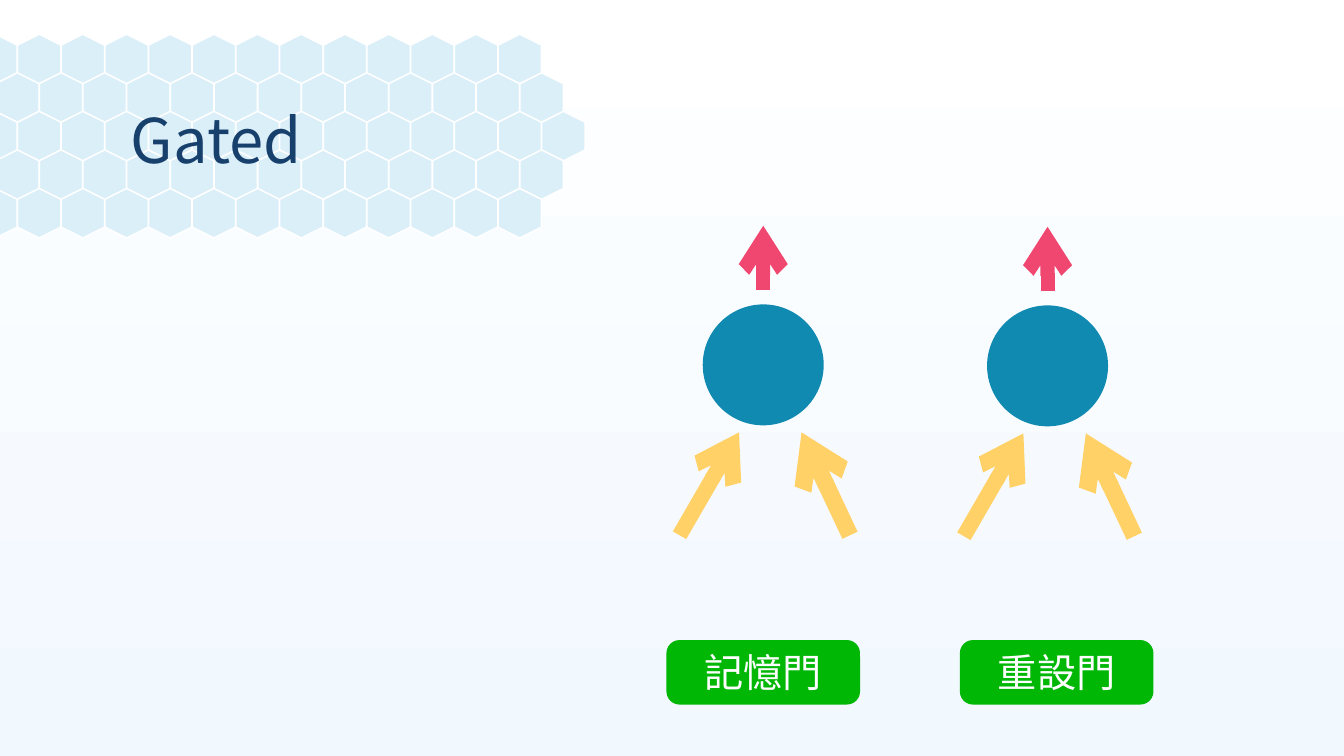
from dataclasses import dataclass

from lxml.etree import SubElement
from pptx import Presentation
from pptx.dml.color import RGBColor
from pptx.enum.shapes import MSO_CONNECTOR, MSO_SHAPE
from pptx.enum.text import MSO_ANCHOR, PP_ALIGN
from pptx.oxml.ns import qn
from pptx.util import Inches, Pt


@dataclass(frozen=True)
class Theme:
    """Colours, fonts and type sizes of the deck."""
    sky_top: str = "FFFFFF"
    sky_bottom: str = "F1F8FE"
    comb: str = "DBEFF9"
    comb_line: str = "FFFFFF"
    title: str = "17406D"
    neuron: str = "118AB2"
    input: str = "FFD166"
    output: str = "EF476F"
    gate: str = "00B706"
    gate_text: str = "FFFFFF"
    title_font: str = "Noto Sans CJK SC"
    gate_font: str = "Noto Sans CJK JP"
    title_size: int = 44
    gate_size: int = 28


THEME = Theme()


def rgb(value):
    """Turn a hex string into a colour."""
    return RGBColor.from_string(value)


def add_filled(shapes, kind, box, fill):
    """Add a flat preset shape without outline or shadow."""
    left, top, width, height = map(Inches, box)
    shape = shapes.add_shape(kind, left, top, width, height)
    shape.shadow.inherit = False
    shape.fill.solid()
    shape.fill.fore_color.rgb = rgb(fill)
    shape.line.fill.background()
    return shape


def add_arrow(shapes, tip, tail, colour, width):
    """Add a thick line with an arrowhead at its tip."""
    arrow = shapes.add_connector(MSO_CONNECTOR.STRAIGHT, *map(Inches, (*tip, *tail)))
    arrow.line.color.rgb = rgb(colour)
    arrow.line.width = Pt(width)
    SubElement(arrow.line._get_or_add_ln(), qn("a:headEnd"), type="arrow")
    SubElement(arrow._element.spPr, qn("a:effectLst"))


def write(frame, text, font, size, colour):
    """Put one formatted line into a text frame, centred vertically."""
    frame.text = text
    frame.word_wrap = True
    frame.vertical_anchor = MSO_ANCHOR.MIDDLE
    para = frame.paragraphs[0]
    span = para.runs[0]
    span.font.name = font
    span.font.size = Pt(size)
    span.font.color.rgb = rgb(colour)
    SubElement(span.font._element, qn("a:ea"), typeface=font)
    return para


def add_background(slide):
    """Shade the slide from top to bottom."""
    fill = slide.background.fill
    fill.gradient()
    fill.gradient_angle = 270
    for stop, colour in zip(fill.gradient_stops, (THEME.sky_top, THEME.sky_bottom)):
        stop.color.rgb = rgb(colour)


def add_honeycomb(slide, left, top):
    """Lay staggered rows of upright hexagons."""
    comb = slide.shapes.add_group_shape()
    pitch = 0.4333
    for row, count in enumerate((13, 13, 14, 13, 13)):
        for column in range(count):
            x = left + pitch * (column + row % 2 / 2)
            cell = add_filled(comb.shapes, MSO_SHAPE.HEXAGON,
                              (x, top + 0.3825 * row, 0.49, 0.43), THEME.comb)
            cell.rotation = 90
            cell.line.color.rgb = rgb(THEME.comb_line)
            cell.line.width = Pt(1)


def add_title(slide, box, text):
    """Write the slide title."""
    title = slide.shapes.add_textbox(*map(Inches, box))
    para = write(title.text_frame, text, THEME.title_font, THEME.title_size, THEME.title)
    para.line_spacing = 0.9


def add_neuron(shapes, left, top):
    """Draw a neuron with two inputs below and one output above."""
    centre = left + 0.83
    add_arrow(shapes, (left + 0.59, top + 2.05), (left, top + 3.07), THEME.input, 11)
    add_arrow(shapes, (left + 1.21, top + 2.05), (left + 1.69, top + 3.07), THEME.input, 12)
    add_filled(shapes, MSO_SHAPE.OVAL, (centre - 0.6, top + 0.78, 1.2, 1.2), THEME.neuron)
    add_arrow(shapes, (centre, top), (centre, top + 0.64), THEME.output, 10)


def add_gate(shapes, box, text):
    """Draw a rounded gate label."""
    gate = add_filled(shapes, MSO_SHAPE.ROUNDED_RECTANGLE, box, THEME.gate)
    gate.adjustments[0] = 0.202
    frame = gate.text_frame
    frame.margin_left = frame.margin_right = Inches(0.06)
    frame.margin_top = frame.margin_bottom = Inches(0.06)
    para = write(frame, text, THEME.gate_font, THEME.gate_size, THEME.gate_text)
    para.alignment = PP_ALIGN.CENTER


def add_diagram(slide, left, top):
    """Place two neurons and their gate labels."""
    shapes = slide.shapes.add_group_shape().shapes
    for index, text in enumerate(("記憶門", "重設門")):
        add_neuron(shapes, left + 0.13 + 2.82 * index, top + 0.01 * index)
        add_gate(shapes, (left + 2.91 * index, top + 4.11, 1.92, 0.64), text)


def main():
    """Build and save the deck."""
    deck = Presentation()
    deck.slide_width, deck.slide_height = Inches(13.33), Inches(7.5)
    slide = deck.slides.add_slide(deck.slide_layouts[6])
    add_background(slide)
    add_honeycomb(slide, -0.29, 0.37)
    add_title(slide, (1.2, 0.63, 3.8, 1.58), "Gated")
    add_diagram(slide, 6.61, 2.24)
    deck.save("out.pptx")


if __name__ == "__main__":
    main()
